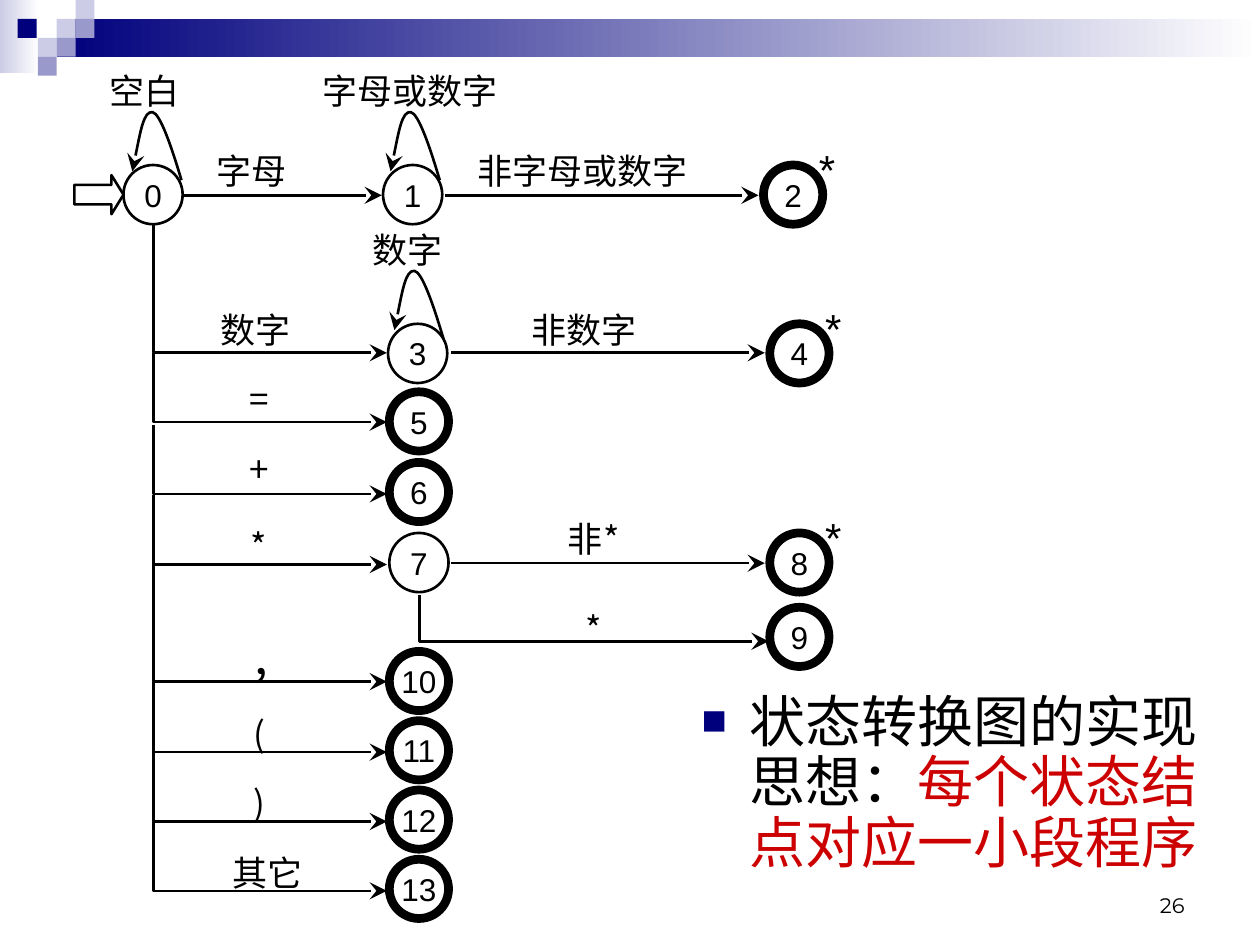
import pptx
import pptx.dml.color
import pptx.enum.shapes
import pptx.enum.text
import pptx.oxml
import pptx.oxml.ns
import pptx.util

Inches = pptx.util.Inches
Pt = pptx.util.Pt
SHAPE = pptx.enum.shapes.MSO_SHAPE
ALIGN = pptx.enum.text.PP_ALIGN
ANCHOR = pptx.enum.text.MSO_ANCHOR
qn = pptx.oxml.ns.qn

COLORS = {"ink": "000000", "navy": "00007D", "lilac": "9999CC",
          "pale": "CCCCE6", "white": "FFFFFF", "red": "CC0000"}
CJK = "Noto Sans CJK SC"
THIN, THICK = 1.5, 5
CIRCLE = 0.47
TRUNK_X, BRANCH_END = 1.22, 3.07

TILES = [(0.45, 0.15, "pale"), (0.6, 0, "pale"), (0.6, 0.15, "lilac"),
         (0.3, 0.3, "pale"), (0.14, 0.15, "navy"), (0.45, 0.3, "lilac"),
         (0.3, 0.45, "lilac")]
STATES = [("0", 0.98, 1.31, THIN), ("1", 3.04, 1.31, THIN), ("2", 6.06, 1.31, THICK),
          ("3", 3.08, 2.57, THIN), ("4", 6.11, 2.57, THICK),
          ("5", 3.09, 3.11, THICK), ("6", 3.09, 3.67, THICK),
          ("7", 3.09, 4.23, THIN), ("8", 6.11, 4.23, THICK), ("9", 6.11, 4.82, THICK),
          ("10", 3.09, 5.17, THICK), ("11", 3.09, 5.72, THICK),
          ("12", 3.09, 6.27, THICK), ("13", 3.09, 6.82, THICK)]
ARROWS = [(1.46, 3.03, 1.55), (3.53, 6.02, 1.55), (3.58, 6.07, 2.8), (3.58, 6.07, 4.47)]
BRANCHES = [(1.78, 2.8), (2.8, 3.35), (3.37, 3.92), (3.93, 4.48),
            (4.46, 5.41), (5.41, 5.97), (5.97, 6.52), (6.52, 7.07)]
LOOPS = [(1.05, 0.88), (3.1, 0.88), (3.13, 2.14)]
LOOP_CURVE = [(0.39, 0.55), (0.31, 0.28), (0.22, 0.02), (0.16, 0.01),
              (0.09, 0), (0.05, 0.24), (0, 0.48)]
LABELS = [("空白", 0.77, 0.5, 0.75), ("字母", 1.62, 1.13, 0.75),
          ("字母或数字", 2.46, 0.5, 1.59), ("非字母或数字", 3.69, 1.13, 1.87),
          ("数字", 1.65, 2.39, 0.75), ("数字", 2.86, 1.76, 0.75),
          ("非数字", 4.12, 2.39, 1.03), ("=", 1.88, 2.94, 0.36),
          ("+", 1.88, 3.5, 0.36), ("*", 1.89, 4.11, 0.35),
          ("非*", 4.41, 4.05, 0.67), ("*", 4.55, 4.77, 0.35),
          ("(", 1.91, 5.6, 0.28), (")", 1.91, 6.15, 0.28), ("其它", 1.75, 6.7, 0.75)]
RETRACT_MARKS = [(6.4, 1.09), (6.45, 2.35), (6.45, 4.01)]


def rgb(name):
    return pptx.dml.color.RGBColor.from_string(COLORS[name])


def add_span(para, text, size=20, font=CJK, color="ink"):
    span = para.add_run()
    span.text = text
    span.font.size = Pt(size)
    span.font.name = font
    span.font.color.rgb = rgb(color)
    east_asian = pptx.oxml.parse_xml(
        f'<a:ea {pptx.oxml.ns.nsdecls("a")} typeface="{font}"/>')
    span.font._element.find(qn("a:latin")).addnext(east_asian)


def add_text(page, text, left, top, width, height, align=ALIGN.LEFT,
             anchor=ANCHOR.TOP, right_inset=0.1, spacing=None, **style):
    box = page.shapes.add_textbox(Inches(left), Inches(top), Inches(width), Inches(height))
    frame = box.text_frame
    frame.word_wrap = True
    frame.margin_right = Inches(right_inset)
    frame.vertical_anchor = anchor
    para = frame.paragraphs[0]
    para.alignment = align
    if spacing:
        para.line_spacing = Pt(spacing)
    add_span(para, text, **style)
    return para


def add_block(page, left, top, width, height, color, fade=False):
    block = page.shapes.add_shape(SHAPE.RECTANGLE, Inches(left), Inches(top),
                                  Inches(width), Inches(height))
    block.shadow.inherit = False
    block.line.fill.background()
    if fade:
        block.fill.gradient()
        block.fill.gradient_angle = 0
        for stop, name in zip(block.fill.gradient_stops, (color, "white")):
            stop.color.rgb = rgb(name)
    else:
        block.fill.solid()
        block.fill.fore_color.rgb = rgb(color)


def style_outline(shape, weight=THIN):
    shape.shadow.inherit = False
    shape.fill.background()
    shape.line.color.rgb = rgb("ink")
    shape.line.width = Pt(weight)


def add_arrowhead(shape):
    shape.line._get_or_add_ln().append(pptx.oxml.parse_xml(
        f'<a:tailEnd {pptx.oxml.ns.nsdecls("a")} type="stealth" w="lg" len="lg"/>'))


def add_state(page, number, left, top, weight):
    state = page.shapes.add_shape(SHAPE.OVAL, Inches(left), Inches(top),
                                  Inches(CIRCLE), Inches(CIRCLE))
    style_outline(state, weight)
    state.text_frame.word_wrap = False
    state.text_frame.vertical_anchor = ANCHOR.MIDDLE
    para = state.text_frame.paragraphs[0]
    para.alignment = ALIGN.CENTER
    add_span(para, number, size=18, font="Arial")


def add_arrow(page, start, end, y):
    arrow = page.shapes.add_connector(pptx.enum.shapes.MSO_CONNECTOR.STRAIGHT,
                                      Inches(start), Inches(y), Inches(end), Inches(y))
    arrow.line.color.rgb = rgb("ink")
    arrow.line.width = Pt(THIN)
    add_arrowhead(arrow)
    arrow._element.spPr.append(pptx.oxml.parse_xml(
        f'<a:effectLst {pptx.oxml.ns.nsdecls("a")}/>'))


def add_route(page, points):
    points = [(Inches(x), Inches(y)) for x, y in points]
    builder = page.shapes.build_freeform(*points[0])
    builder.add_line_segments(points[1:], close=False)
    route = builder.convert_to_shape()
    style_outline(route)
    add_arrowhead(route)
    return route


def add_loop(page, left, top):
    loop = add_route(page, [(left + x, top + y) for x, y in LOOP_CURVE])
    segments = list(loop._element.iter(qn("a:lnTo")))
    for i in range(0, len(segments), 3):
        curve = pptx.oxml.parse_xml(f'<a:cubicBezTo {pptx.oxml.ns.nsdecls("a")}/>')
        segments[i].addprevious(curve)
        for segment in segments[i:i + 3]:
            curve.append(segment[0])
            segment.getparent().remove(segment)


def add_header(page):
    add_block(page, 0, 0, 0.31, 0.58, "pale", fade=True)
    add_block(page, 0.45, 0.15, 9.55, 0.3, "navy", fade=True)
    for left, top, color in TILES:
        add_block(page, left, top, 0.15, 0.15, color)


def add_summary(page):
    para = add_text(page, "状态转换图的实现思想：", 5.47, 5.45, 4.33, 1.68,
                    spacing=34.6, size=32)
    add_span(para, "每个状态结点对应一小段程序", size=32, color="red")
    props = para._p.get_or_add_pPr()
    props.set("marL", str(Inches(0.38)))
    props.set("indent", str(-Inches(0.38)))
    namespace = pptx.oxml.ns.nsdecls("a")
    for bullet in (f'<a:buClr {namespace}><a:srgbClr val="{COLORS["navy"]}"/></a:buClr>',
                   f'<a:buSzPct {namespace} val="75000"/>',
                   f'<a:buFont {namespace} typeface="Arial"/>',
                   f'<a:buChar {namespace} char="■"/>'):
        props.append(pptx.oxml.parse_xml(bullet))


def main():
    deck = pptx.Presentation()
    deck.slide_width, deck.slide_height = Inches(10), Inches(7.5)
    page = deck.slides.add_slide(deck.slide_layouts[6])
    add_header(page)
    add_text(page, "26", 7.17, 6.83, 2.33, 0.5, align=ALIGN.RIGHT,
             anchor=ANCHOR.BOTTOM, size=12, font="Montserrat")
    add_summary(page)
    entry = page.shapes.add_shape(SHAPE.RIGHT_ARROW, Inches(0.59), Inches(1.39),
                                  Inches(0.39), Inches(0.31))
    entry.adjustments[1] = 0.31
    style_outline(entry)
    for state in STATES:
        add_state(page, *state)
    for arrow in ARROWS:
        add_arrow(page, *arrow)
    for top, bottom in BRANCHES:
        add_route(page, [(TRUNK_X, top), (TRUNK_X, bottom), (BRANCH_END, bottom)])
    add_route(page, [(3.33, 4.72), (3.33, 5.09), (6.1, 5.09)])
    for loop in LOOPS:
        add_loop(page, *loop)
    for text, left, top, width in LABELS:
        add_text(page, text, left, top, width, 0.44, right_inset=0, spacing=24.4)
    add_text(page, ",", 1.92, 4.91, 0.3, 0.57, right_inset=0, spacing=34.2, size=28)
    for left, top in RETRACT_MARKS:
        add_text(page, "*", left, top, 0.33, 0.5, right_inset=0, size=24, font="Arial")
    deck.save("out.pptx")


if __name__ == "__main__":
    main()
